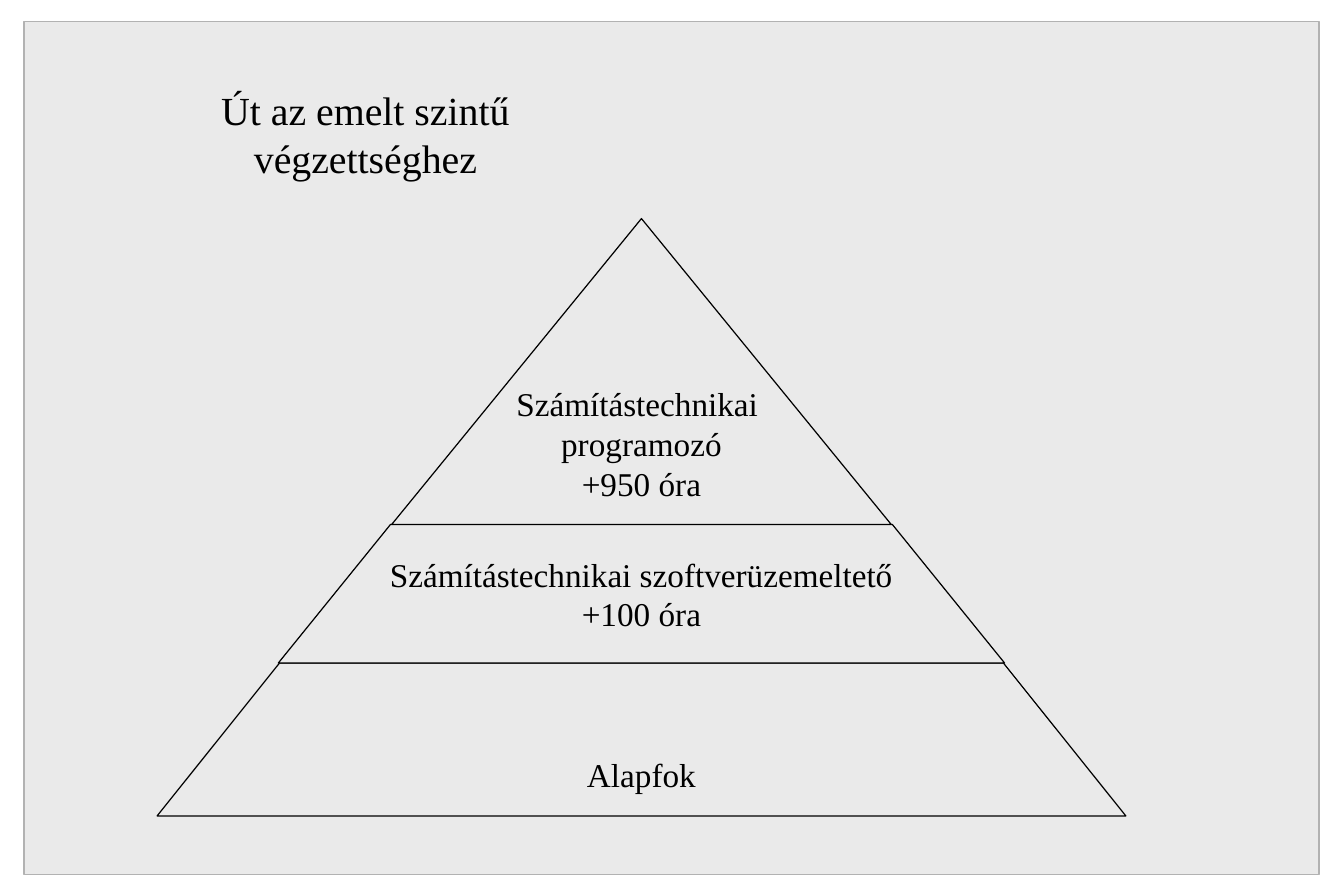
from dataclasses import dataclass

from pptx import Presentation, util as u
from pptx.dml.color import RGBColor
from pptx.enum import shapes, text


@dataclass(frozen=True)
class Theme:
    font: str = "Times New Roman"
    ink: RGBColor = RGBColor(0x00, 0x00, 0x00)
    panel: RGBColor = RGBColor(0xEA, 0xEA, 0xEA)
    frame: RGBColor = RGBColor(0xB2, 0xB2, 0xB2)
    title_size: int = 24
    tier_size: int = 20
    line_width: float = 0.75


THEME = Theme()
WIDTH, HEIGHT = u.Inches(11.25), u.Inches(7.5)
PYRAMID_CENTER = 47.73
BOTTOM_INSET = 2.4

# Top and bottom edge, half width at each edge, anchor, lines of text
TIERS = [
    (74, 91.07, 26.93, 36.04, text.MSO_ANCHOR.BOTTOM, ["Alapfok"]),
    (58.53, 74, 18.67, 27.02, text.MSO_ANCHOR.MIDDLE,
     ["Számítástechnikai szoftverüzemeltető", "+100 óra"]),
    (24.4, 58.53, 0, 18.58, text.MSO_ANCHOR.BOTTOM,
     ["Számítástechnikai ", "programozó", "+950 óra"]),
]


def across(percent):
    return u.Emu(round(WIDTH * percent / 100))


def down(percent):
    return u.Emu(round(HEIGHT * percent / 100))


def paint(shape, line_color):
    shape.shadow.inherit = False
    shape.fill.solid()
    shape.fill.fore_color.rgb = THEME.panel
    shape.line.color.rgb = line_color
    shape.line.width = u.Pt(THEME.line_width)


def write(shape, content, size):
    frame = shape.text_frame
    frame.word_wrap = False
    frame.text = content
    for para in frame.paragraphs:
        para.alignment = text.PP_ALIGN.CENTER
        for span in para.runs:
            span.font.name = THEME.font
            span.font.size = u.Pt(size)
            span.font.color.rgb = THEME.ink


def add_panel(page):
    panel = page.shapes.add_shape(
        shapes.MSO_SHAPE.RECTANGLE,
        across(1.78), down(2.4), across(96.36), down(95.2))
    paint(panel, THEME.frame)


def add_title(page):
    box = page.shapes.add_textbox(
        across(6.93), down(8.93), across(40.53), down(12))
    write(box, "Út az emelt szintű\vvégzettséghez", THEME.title_size)


def add_tier(page, top, bottom, half_top, half_bottom, anchor, lines):
    corners = [
        (across(PYRAMID_CENTER + offset), down(edge))
        for offset, edge in [(-half_bottom, bottom), (-half_top, top),
                             (half_top, top), (half_bottom, bottom)]
    ]
    builder = page.shapes.build_freeform(*corners[0])
    builder.add_line_segments(corners[1:], close=True)
    tier = builder.convert_to_shape()
    paint(tier, THEME.ink)
    write(tier, "\n".join(lines), THEME.tier_size)
    tier.text_frame.vertical_anchor = anchor
    if anchor == text.MSO_ANCHOR.BOTTOM:
        tier.text_frame.margin_bottom = down(BOTTOM_INSET)


def main():
    deck = Presentation()
    deck.slide_width, deck.slide_height = WIDTH, HEIGHT
    page = deck.slides.add_slide(deck.slide_layouts[6])
    add_panel(page)
    add_title(page)
    for tier in TIERS:
        add_tier(page, *tier)
    deck.save("out.pptx")


if __name__ == "__main__":
    main()
